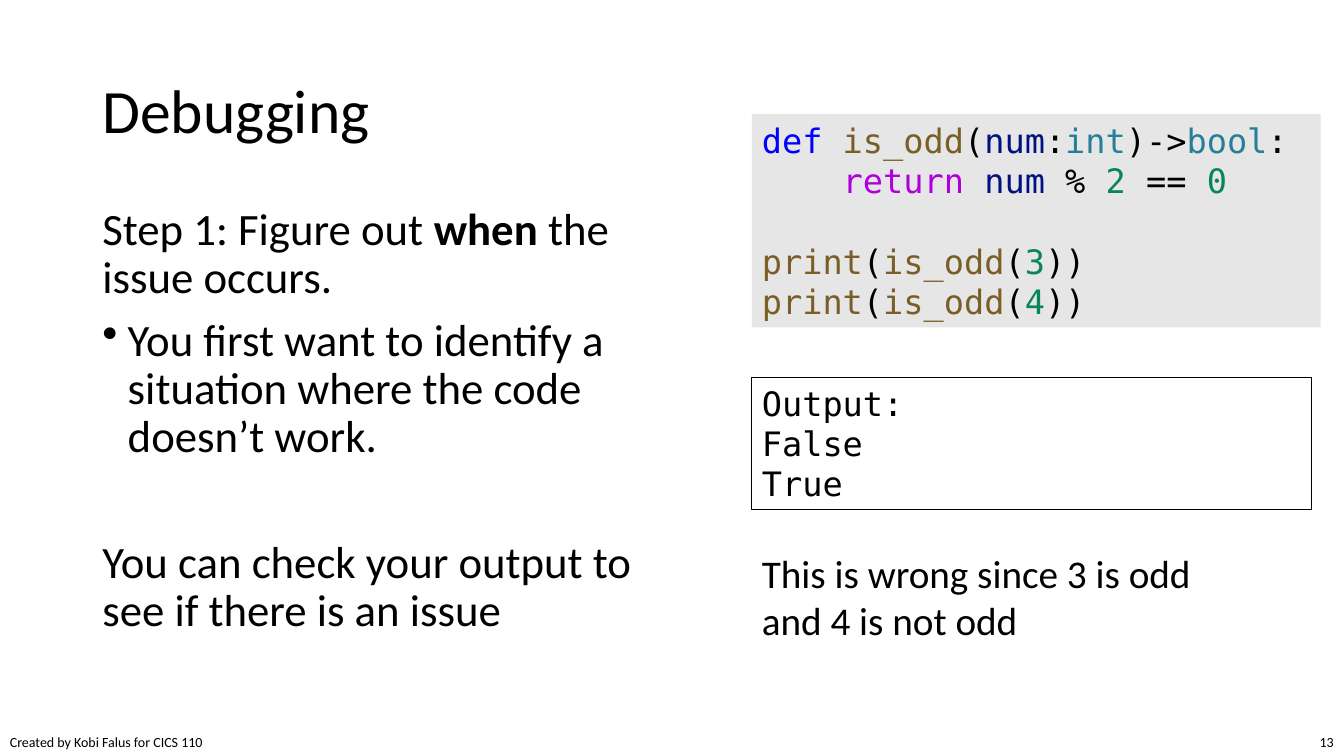
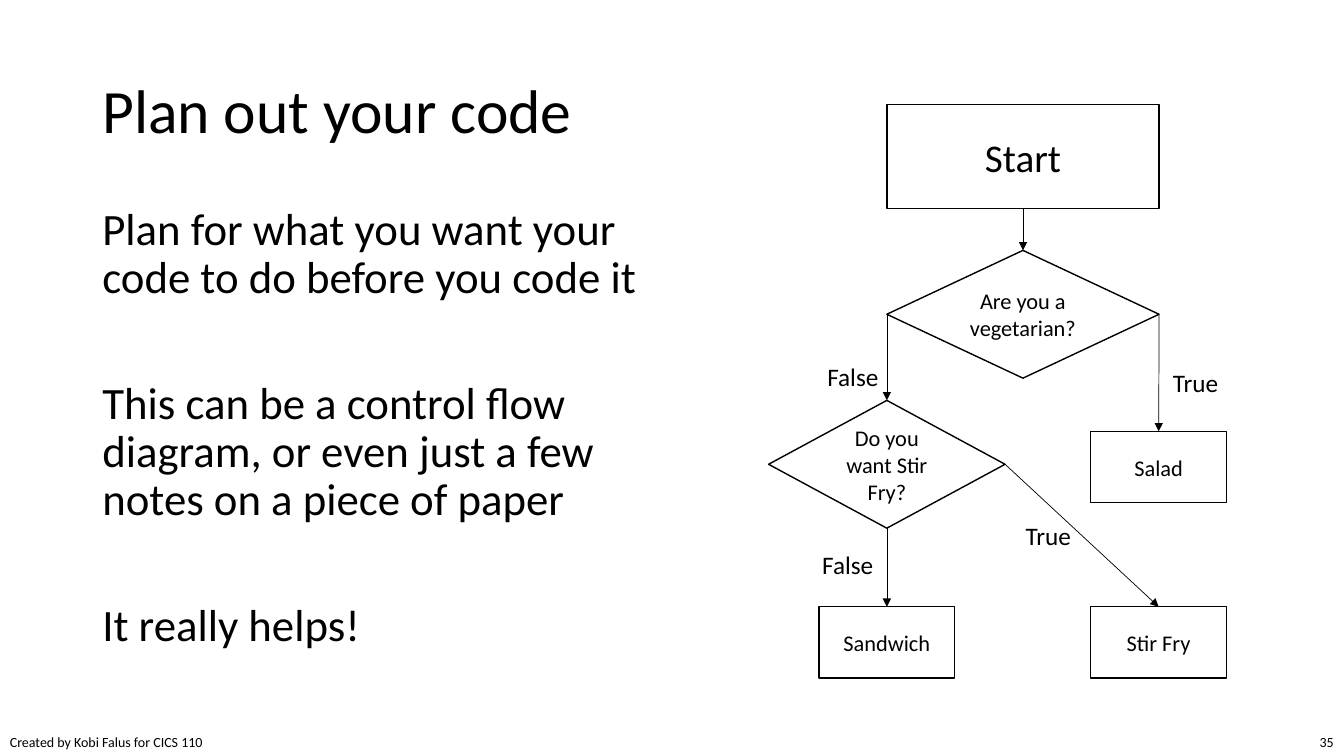
from dataclasses import dataclass, field
from typing import Any, NamedTuple

from lxml import etree
from pptx import Presentation
from pptx.dml.color import RGBColor
from pptx.enum import shapes, text
from pptx.oxml import ns
from pptx.util import Cm, Pt

COLORS = {
    "black": "000000", "white": "FFFFFF", "code_panel": "E6E6E6",
    "keyword": "0000FF", "control": "AF00DB", "function": "795E26",
    "variable": "001080", "type": "267F99", "number": "098658",
}
BODY_FONT = "Calibri"
CODE_FONT = "DejaVu Sans Mono"
RECTANGLE = shapes.MSO_SHAPE.RECTANGLE
DECISION = shapes.MSO_SHAPE.FLOWCHART_DECISION
TOP, LEFT, BOTTOM, RIGHT = range(4)
CENTERED = {"alignment": text.PP_ALIGN.CENTER}
BODY_GAP = Pt(10)
SECTION_GAP = Pt(55)
CODE_LINE = Pt(29)


class Box(NamedTuple):
    left: float
    top: float
    width: float
    height: float

    def lengths(self) -> list[Cm]:
        return [Cm(value) for value in self]


class Span(NamedTuple):
    text: str
    color: str = "black"
    bold: bool = False


@dataclass
class Line:
    spans: list[Span]
    format: dict[str, Any] = field(default_factory=dict)
    bullet: bool = False


class Node(NamedTuple):
    label: str
    kind: Any
    center: float
    top: float
    width: float
    height: float
    size: int = 16


class Arrow(NamedTuple):
    start: str
    start_side: int
    end: str
    end_side: int = TOP


class Label(NamedTuple):
    text: str
    box: Box


TITLE_BOX = Box(2.33, 1.02, 29.21, 3.68)
BODY_BOX = Box(2.33, 5.08, 15.34, 12.09)
CREDIT_BOX = Box(0, 18.36, 5.46, 0.69)
NUMBER_BOX = Box(32.46, 18.36, 1.4, 0.69)

LEFT_COLUMN, MIDDLE_COLUMN, RIGHT_COLUMN = 22.35, 25.78, 29.2
SMALL = (3.42, 1.8)
NODES = {
    "start": Node("Start", RECTANGLE, MIDDLE_COLUMN, 2.64, 6.86, 2.62, 28),
    "vegetarian": Node("Are you a vegetarian?", DECISION, MIDDLE_COLUMN, 6.31, 6.86, 3.22),
    "wants_stir_fry": Node("Do you want Stir Fry?", DECISION, LEFT_COLUMN, 10.09, 5.96, 3.22),
    "salad": Node("Salad", RECTANGLE, RIGHT_COLUMN, 10.87, *SMALL),
    "sandwich": Node("Sandwich", RECTANGLE, LEFT_COLUMN, 15.29, *SMALL),
    "stir_fry": Node("Stir Fry", RECTANGLE, RIGHT_COLUMN, 15.29, *SMALL),
}
ARROWS = [
    Arrow("start", BOTTOM, "vegetarian"),
    Arrow("vegetarian", LEFT, "wants_stir_fry"),
    Arrow("vegetarian", RIGHT, "salad"),
    Arrow("wants_stir_fry", RIGHT, "stir_fry"),
    Arrow("wants_stir_fry", BOTTOM, "sandwich"),
]
LABELS = [
    Label("False", Box(20.6, 8.97, 1.8, 1.02)),
    Label("True", Box(29.31, 9.12, 1.68, 1.02)),
    Label("True", Box(25.6, 12.98, 1.68, 1.02)),
    Label("False", Box(20.47, 13.72, 1.8, 1.02)),
]


def rgb(name: str) -> RGBColor:
    return RGBColor.from_string(COLORS[name])


def apply_format(target: Any, values: dict[str, Any]) -> None:
    for name, value in values.items():
        setattr(target, name, value)


def plain(content: str, **line_format: Any) -> Line:
    return Line([Span(content)], line_format)


def add_bullet(paragraph: Any) -> None:
    properties = paragraph._p.get_or_add_pPr()
    properties.set("marL", str(Cm(0.64)))
    properties.set("indent", str(-Cm(0.64)))
    etree.SubElement(properties, ns.qn("a:buChar"), char="•")


def write(shape: Any, lines: list[Line], size: int, font: str = BODY_FONT,
          anchor: Any = text.MSO_ANCHOR.TOP, wrap: bool = True) -> None:
    frame = shape.text_frame
    apply_format(frame, {"word_wrap": wrap, "vertical_anchor": anchor})
    for index, line in enumerate(lines):
        paragraph = frame.add_paragraph() if index else frame.paragraphs[0]
        if line.bullet:
            add_bullet(paragraph)
        apply_format(paragraph, {"alignment": text.PP_ALIGN.LEFT, **line.format})
        for span in line.spans:
            run = paragraph.add_run()
            run.text = span.text
            apply_format(run.font, {"name": font, "size": Pt(size), "bold": span.bold})
            run.font.color.rgb = rgb(span.color)


def add_text(slide: Any, box: Box, lines: list[Line], size: int, **options: Any) -> None:
    write(slide.shapes.add_textbox(*box.lengths()), lines, size, **options)


def add_panel(slide: Any, kind: Any, box: Box, fill: str | None = None,
              outline: float | None = None) -> Any:
    shape = slide.shapes.add_shape(kind, *box.lengths())
    shape.shadow.inherit = False
    if fill:
        shape.fill.solid()
        shape.fill.fore_color.rgb = rgb(fill)
    else:
        shape.fill.background()
    if outline:
        shape.line.color.rgb = rgb("black")
        shape.line.width = Pt(outline)
    else:
        shape.line.fill.background()
    return shape


def add_node(slide: Any, node: Node) -> Any:
    box = Box(node.center - node.width / 2, node.top, node.width, node.height)
    shape = add_panel(slide, node.kind, box, "white", 1)
    write(shape, [plain(node.label, **CENTERED)], node.size, anchor=text.MSO_ANCHOR.MIDDLE)
    return shape


def add_arrow(slide: Any, start: Any, start_side: int, end: Any, end_side: int) -> None:
    connector = slide.shapes.add_connector(shapes.MSO_CONNECTOR.STRAIGHT, 0, 0, 0, 0)
    connector.begin_connect(start, start_side)
    connector.end_connect(end, end_side)
    connector.line.color.rgb = rgb("black")
    connector.line.width = Pt(0.5)
    etree.SubElement(connector.line._get_or_add_ln(), ns.qn("a:tailEnd"), type="triangle")
    etree.SubElement(connector._element.spPr, ns.qn("a:effectLst"))


def add_base_slide(presentation: Any, title: str, number: int, body: list[Line]) -> Any:
    """Add a slide with the shared footer, title and left-hand text."""
    slide = presentation.slides.add_slide(presentation.slide_layouts[6])
    add_text(slide, CREDIT_BOX, [plain("Created by Kobi Falus for CICS 110")], 10, wrap=False)
    add_text(slide, NUMBER_BOX, [plain(str(number), alignment=text.PP_ALIGN.RIGHT)], 10)
    add_text(slide, TITLE_BOX, [plain(title, line_spacing=0.9)], 44,
             anchor=text.MSO_ANCHOR.MIDDLE)
    for line in body:
        line.format["line_spacing"] = 0.9
    add_text(slide, BODY_BOX, body, 32)
    return slide


def print_call(argument: str, **line_format: Any) -> Line:
    return Line([Span("print", "function"), Span("("), Span("is_odd", "function"),
                 Span("("), Span(argument, "number"), Span("))")], line_format)


def add_debugging_slide(presentation: Any) -> None:
    slide = add_base_slide(presentation, "Debugging", 13, [
        Line([Span("Step 1: Figure out "), Span("when", bold=True), Span(" the issue occurs.")]),
        Line([Span("You first want to identify a situation where the code doesn’t work.")],
             {"space_before": BODY_GAP}, bullet=True),
        plain("You can check your output to see if there is an issue",
              space_before=SECTION_GAP),
    ])
    code = [
        Line([Span("def ", "keyword"), Span("is_odd", "function"), Span("("),
              Span("num", "variable"), Span(":"), Span("int", "type"), Span(")->"),
              Span("bool", "type"), Span(":")]),
        Line([Span("    "), Span("return ", "control"), Span("num", "variable"),
              Span(" % "), Span("2", "number"), Span(" == "), Span("0", "number")]),
        print_call("3", space_before=CODE_LINE),
        print_call("4"),
    ]
    code_panel = add_panel(slide, RECTANGLE, Box(18.95, 2.87, 14.33, 5.38), "code_panel")
    write(code_panel, code, 24, CODE_FONT, text.MSO_ANCHOR.MIDDLE)
    output_panel = add_panel(slide, RECTANGLE, Box(18.95, 9.52, 14.1, 3.33), outline=0.75)
    write(output_panel, [plain(row) for row in ("Output:", "False", "True")], 24, CODE_FONT)
    add_text(slide, Box(18.95, 13.72, 12.57, 2.64),
             [plain("This is wrong since 3 is odd and 4 is not odd")], 28)


def add_planning_slide(presentation: Any) -> None:
    slide = add_base_slide(presentation, "Plan out your code", 35, [
        plain("Plan for what you want your code to do before you code it"),
        plain("This can be a control flow diagram, or even just a few notes on a piece of paper",
              space_before=SECTION_GAP),
        plain("It really helps!", space_before=SECTION_GAP),
    ])
    nodes = {name: add_node(slide, node) for name, node in NODES.items()}
    for arrow in ARROWS:
        add_arrow(slide, nodes[arrow.start], arrow.start_side,
                  nodes[arrow.end], arrow.end_side)
    for label in LABELS:
        add_text(slide, label.box, [plain(label.text)], 18, wrap=False)


def main() -> None:
    presentation = Presentation()
    apply_format(presentation, {"slide_width": Cm(33.87), "slide_height": Cm(19.05)})
    add_debugging_slide(presentation)
    add_planning_slide(presentation)
    presentation.save("out.pptx")


if __name__ == "__main__":
    main()
